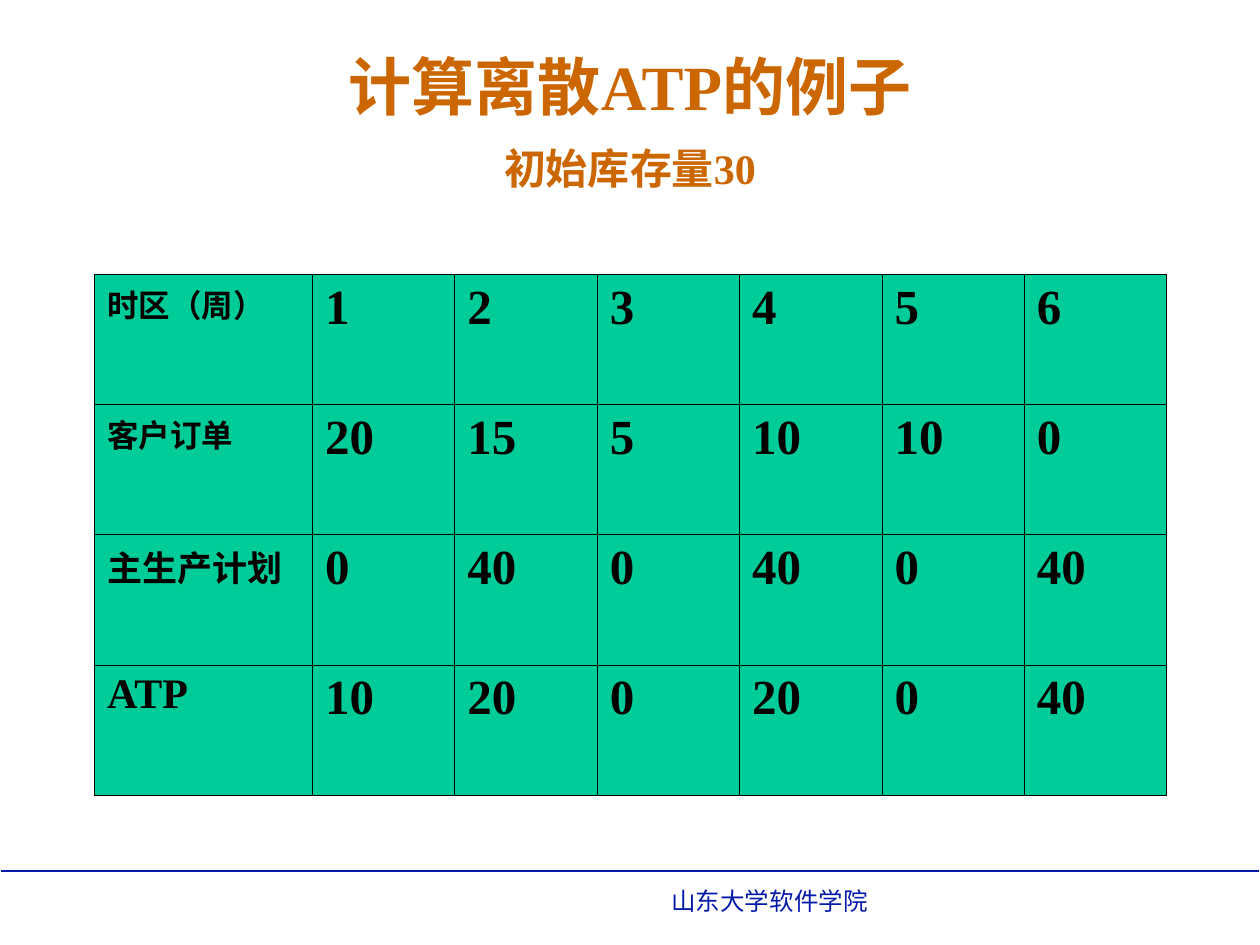
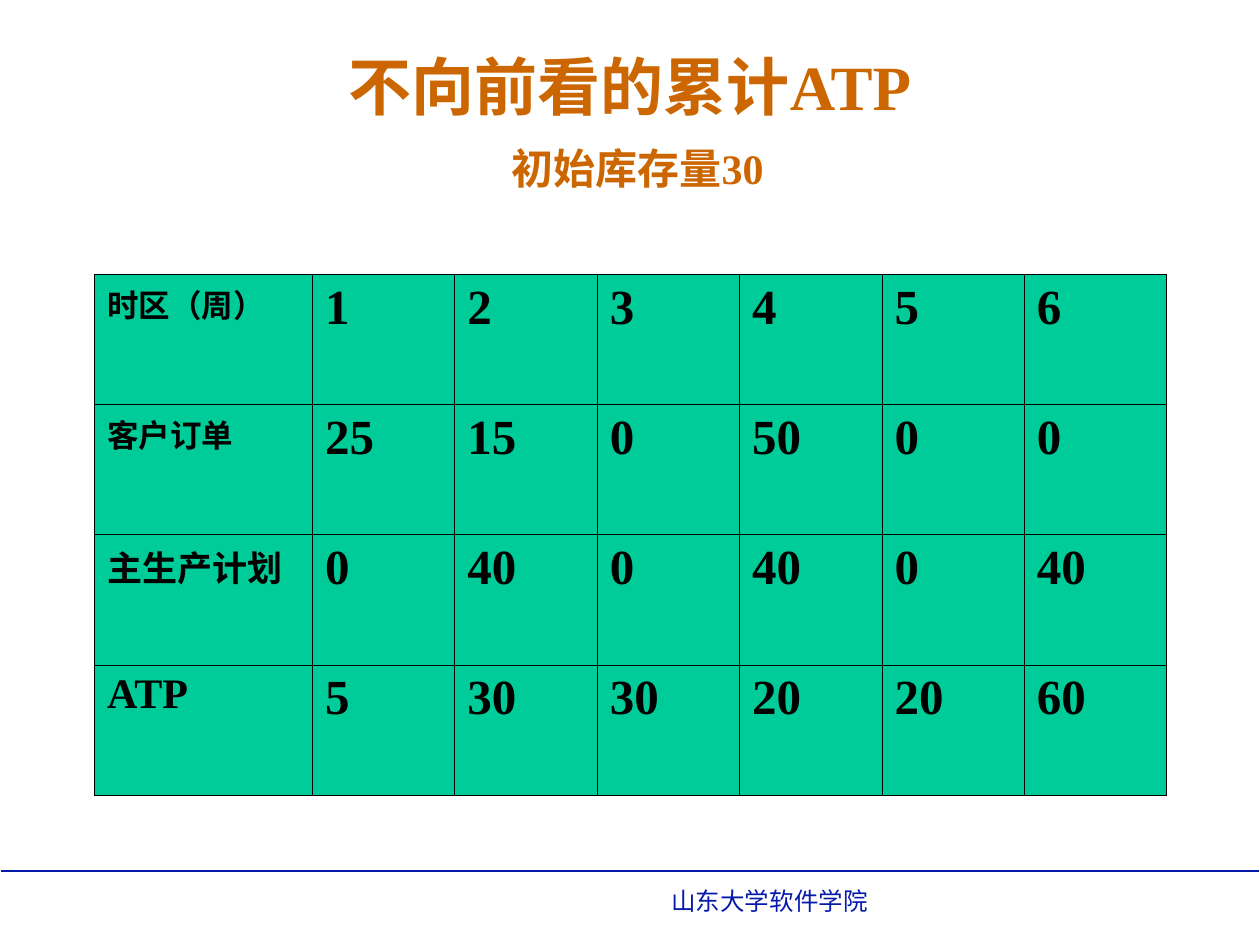
from lxml.etree import SubElement
from pptx import Presentation
from pptx.dml.color import RGBColor
from pptx.enum.shapes import MSO_CONNECTOR
from pptx.enum.text import MSO_ANCHOR, MSO_AUTO_SIZE, PP_ALIGN
from pptx.oxml.ns import qn
from pptx.util import Inches, Pt

NAVY = "061AAA"
ORANGE = "CC6600"
GREEN = "00CC99"
BLACK = "000000"
SERIF = "Times New Roman"
CJK = "Noto Sans CJK SC"

LABELS = [("时区（周）", 18), ("客户订单", 18), ("主生产计划", 20), ("ATP", 24)]
WEEKS = [1, 2, 3, 4, 5, 6]
MASTER_PLAN = [0, 40, 0, 40, 0, 40]


def rgb(value):
    return RGBColor.from_string(value)


def set_font(p, size, color, name=SERIF, bold=True):
    p.font.size = Pt(size)
    p.font.bold = bold
    p.font.name = name
    p.font.color.rgb = rgb(color)
    SubElement(p._p.pPr.find(qn("a:defRPr")), qn("a:ea"), typeface=CJK)


def add_title(s, title, subtitle, indent):
    sp = s.shapes.title
    sp.left, sp.top = Inches(0.75), Inches(0.31)
    sp.width, sp.height = Inches(8.5), Inches(1.25)
    tf = sp.text_frame
    tf.auto_size = MSO_AUTO_SIZE.NONE
    tf.vertical_anchor = MSO_ANCHOR.MIDDLE
    tf.text = f"{title}\n{subtitle}"
    for p, size, spacing in zip(tf.paragraphs, (36, 24), (46, 40)):
        p.alignment = PP_ALIGN.CENTER
        p.line_spacing = Pt(spacing)
        set_font(p, size, ORANGE)
    tf.paragraphs[1]._p.pPr.set("marL", str(Inches(indent)))


def add_footer(s):
    line = s.shapes.add_connector(
        MSO_CONNECTOR.STRAIGHT, Inches(0.01), Inches(6.91), Inches(9.99), Inches(6.91))
    line.line.color.rgb = rgb(NAVY)
    line.line.width = Pt(1)
    SubElement(line._element.spPr, qn("a:effectLst"))
    sp = s.shapes.add_textbox(Inches(5.23), Inches(6.98), Inches(4.33), Inches(0.34))
    tf = sp.text_frame
    tf.word_wrap = True
    p = tf.paragraphs[0]
    p.text = "山东大学软件学院"
    set_font(p, 14, NAVY, "Arial", False)


def set_borders(cell):
    tcPr = cell._tc.get_or_add_tcPr()
    for i, side in enumerate(("lnL", "lnR", "lnT", "lnB")):
        ln = tcPr.makeelement(qn(f"a:{side}"), {"w": str(Pt(0.45))})
        SubElement(SubElement(ln, qn("a:solidFill")), qn("a:srgbClr"), val=BLACK)
        tcPr.insert(i, ln)


def add_cell(cell, text, size):
    cell.fill.solid()
    cell.fill.fore_color.rgb = rgb(GREEN)
    set_borders(cell)
    p = cell.text_frame.paragraphs[0]
    p.text = str(text)
    p.alignment = PP_ALIGN.JUSTIFY
    set_font(p, size, BLACK)


def add_plan_table(s, orders, atp):
    rows = [WEEKS, orders, MASTER_PLAN, atp]
    table = s.shapes.add_table(
        len(rows), len(WEEKS) + 1,
        Inches(0.75), Inches(2.18), Inches(8.49), Inches(4.13)).table
    table.first_row = False
    table.horz_banding = False
    for i, column in enumerate(table.columns):
        column.width = Inches(1.13 if i else 1.73)
    for r, ((label, size), values) in enumerate(zip(LABELS, rows)):
        add_cell(table.cell(r, 0), label, size)
        for c, value in enumerate(values, 1):
            add_cell(table.cell(r, c), value, 28)


def add_plan_slide(prs, title, orders, atp, indent=0):
    s = prs.slides.add_slide(prs.slide_layouts[5])
    add_footer(s)
    add_title(s, title, "初始库存量30", indent)
    add_plan_table(s, orders, atp)


def main():
    prs = Presentation()
    prs.slide_width, prs.slide_height = Inches(10), Inches(7.5)
    add_plan_slide(prs, "计算离散ATP的例子",
                   [20, 15, 5, 10, 10, 0], [10, 20, 0, 20, 0, 40])
    add_plan_slide(prs, "不向前看的累计ATP",
                   [25, 15, 0, 50, 0, 0], [5, 30, 30, 20, 20, 60], 0.12)
    prs.save("out.pptx")


if __name__ == "__main__":
    main()
